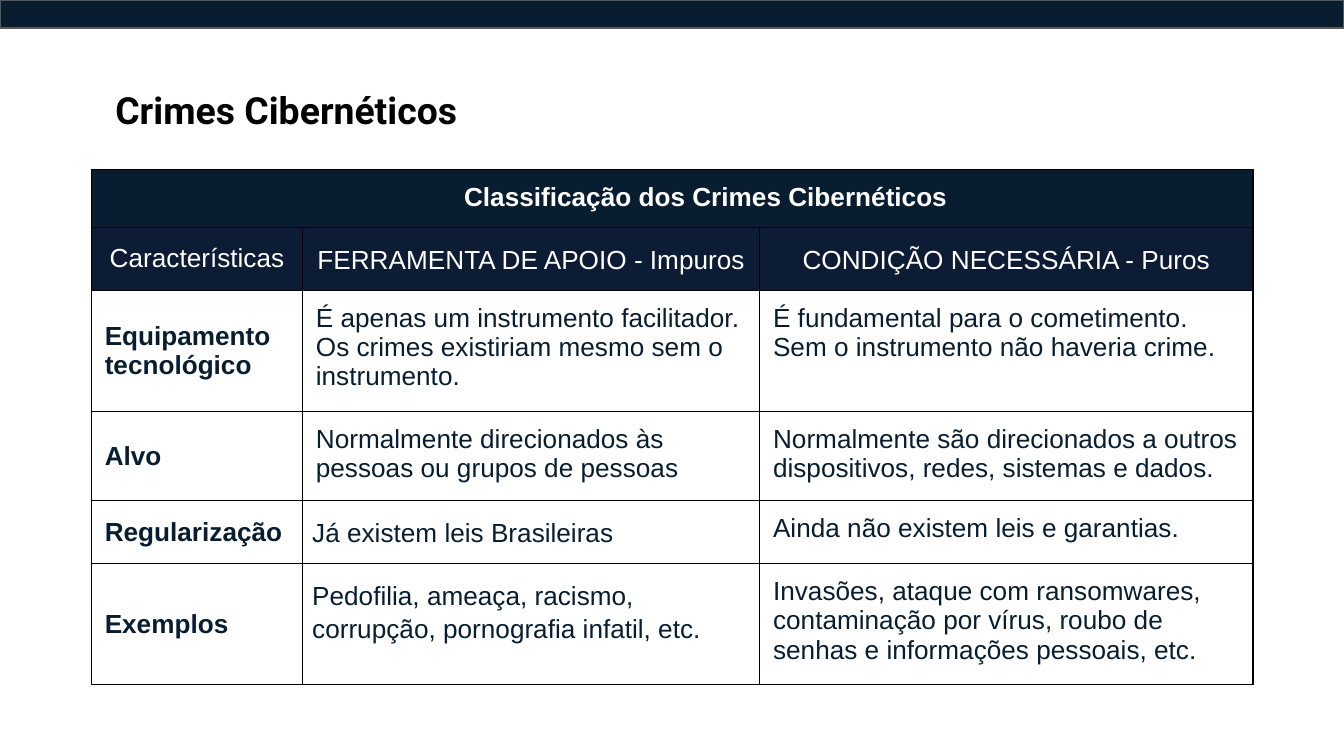
from lxml import etree
from pptx import Presentation
from pptx.dml.color import RGBColor
from pptx.enum.shapes import MSO_SHAPE
from pptx.enum.text import MSO_ANCHOR, PP_ALIGN
from pptx.oxml.ns import qn
from pptx.util import Cm, Pt

CENTER, LEFT, JUSTIFY = PP_ALIGN.CENTER, PP_ALIGN.LEFT, PP_ALIGN.JUSTIFY
TOP, MIDDLE = MSO_ANCHOR.TOP, MSO_ANCHOR.MIDDLE
NAVY = RGBColor(0x08, 0x1E, 0x30)
DARK_BLUE = RGBColor(0x0C, 0x1C, 0x34)
GRAY = RGBColor(0x59, 0x59, 0x59)
BLACK = RGBColor(0, 0, 0)
WHITE = RGBColor(0xFF, 0xFF, 0xFF)

TITLE = "Crimes Cibernéticos"
CLASSIFICATION = [
    ("Classificação dos Crimes Cibernéticos", "", ""),
    ("Características", "FERRAMENTA DE APOIO - Impuros", "CONDIÇÃO NECESSÁRIA - Puros"),
    ("Equipamento tecnológico",
     "É apenas um instrumento facilitador. Os crimes existiriam mesmo sem o instrumento.",
     "É fundamental para o cometimento. Sem o instrumento não haveria crime."),
    ("Alvo",
     "Normalmente direcionados às pessoas ou grupos de pessoas",
     "Normalmente são direcionados a outros dispositivos, redes, sistemas e dados."),
    ("Regularização", "Já existem leis Brasileiras", "Ainda não existem leis e garantias."),
    ("Exemplos",
     "Pedofilia, ameaça, racismo, corrupção, pornografia infatil, etc.",
     "Invasões, ataque com ransomwares, contaminação por vírus, roubo de senhas e "
     "informações pessoais, etc."),
]
COLUMN_WIDTHS = [3.99, 8.64, 9.32]
ROW_HEIGHTS = [1.09, 1.19, 2.29, 1.69, 1.19, 2.29]
HEADING_FILLS = [NAVY, DARK_BLUE]
LOOSE_CELLS = {(1, 1), (1, 2), (4, 1), (5, 1)}
NARROW_MARGIN_CELLS = {(4, 1): JUSTIFY, (5, 1): LEFT}
MARGIN = Cm(0.25)


def set_margins(area, side=MARGIN):
    area.margin_left = area.margin_right = side
    area.margin_top = area.margin_bottom = MARGIN


def style_run(paragraph, font_name, size, color, bold):
    font = paragraph.runs[0].font
    font.name, font.size, font.bold = font_name, Pt(size), bold
    font.color.rgb = color


def add_borders(cell):
    properties = cell._tc.get_or_add_tcPr()
    for position, side in enumerate(("a:lnL", "a:lnR", "a:lnT", "a:lnB")):
        border = etree.Element(qn(side), w=str(Pt(0.75)))
        fill = etree.SubElement(border, qn("a:solidFill"))
        etree.SubElement(fill, qn("a:srgbClr"), val=str(BLACK))
        properties.insert(position, border)


def fill_cell(cell, row, column, text):
    heading = row < len(HEADING_FILLS)
    cell.fill.solid()
    cell.fill.fore_color.rgb = HEADING_FILLS[row] if heading else WHITE
    add_borders(cell)
    narrow = (row, column) in NARROW_MARGIN_CELLS
    set_margins(cell, Cm(0.18) if narrow else MARGIN)
    cell.vertical_anchor = MIDDLE if row == 1 or (row and column == 0) else TOP
    if not text:
        return
    cell.text_frame.text = text
    paragraph = cell.text_frame.paragraphs[0]
    paragraph.alignment = CENTER if heading else NARROW_MARGIN_CELLS.get((row, column), LEFT)
    if (row, column) in LOOSE_CELLS:
        paragraph.line_spacing = 1.15
    bold = row != 1 and column == 0
    style_run(paragraph, "Arial", 14, WHITE if heading else NAVY, bold)


prs = Presentation()
prs.slide_width, prs.slide_height = Cm(25.4), Cm(14.29)
slide = prs.slides.add_slide(prs.slide_layouts[6])

top_bar = slide.shapes.add_shape(MSO_SHAPE.RECTANGLE, 0, 0, prs.slide_width, Cm(0.53))
top_bar.shadow.inherit = False
top_bar.fill.solid()
top_bar.fill.fore_color.rgb = NAVY
top_bar.line.color.rgb = GRAY
top_bar.line.width = Pt(0.75)

title = slide.shapes.add_textbox(Cm(1.93), Cm(1.4), Cm(20.62), Cm(1.37)).text_frame
title.word_wrap = True
set_margins(title)
title.text = TITLE
style_run(title.paragraphs[0], "Roboto", 20, BLACK, True)

table = slide.shapes.add_table(
    len(ROW_HEIGHTS), len(COLUMN_WIDTHS), Cm(1.73), Cm(3.2),
    Cm(sum(COLUMN_WIDTHS)), Cm(sum(ROW_HEIGHTS))).table
for column, width in zip(table.columns, COLUMN_WIDTHS):
    column.width = Cm(width)
for row, height in zip(table.rows, ROW_HEIGHTS):
    row.height = Cm(height)
for row_index, texts in enumerate(CLASSIFICATION):
    for column_index, text in enumerate(texts):
        fill_cell(table.cell(row_index, column_index), row_index, column_index, text)

heading = table.cell(0, 0)
heading.merge(table.cell(0, 2))
heading_properties = heading.text_frame.paragraphs[0]._p.get_or_add_pPr()
heading_properties.set("marL", str(Cm(1.27)))
heading_properties.set("indent", "0")

prs.save("out.pptx")
